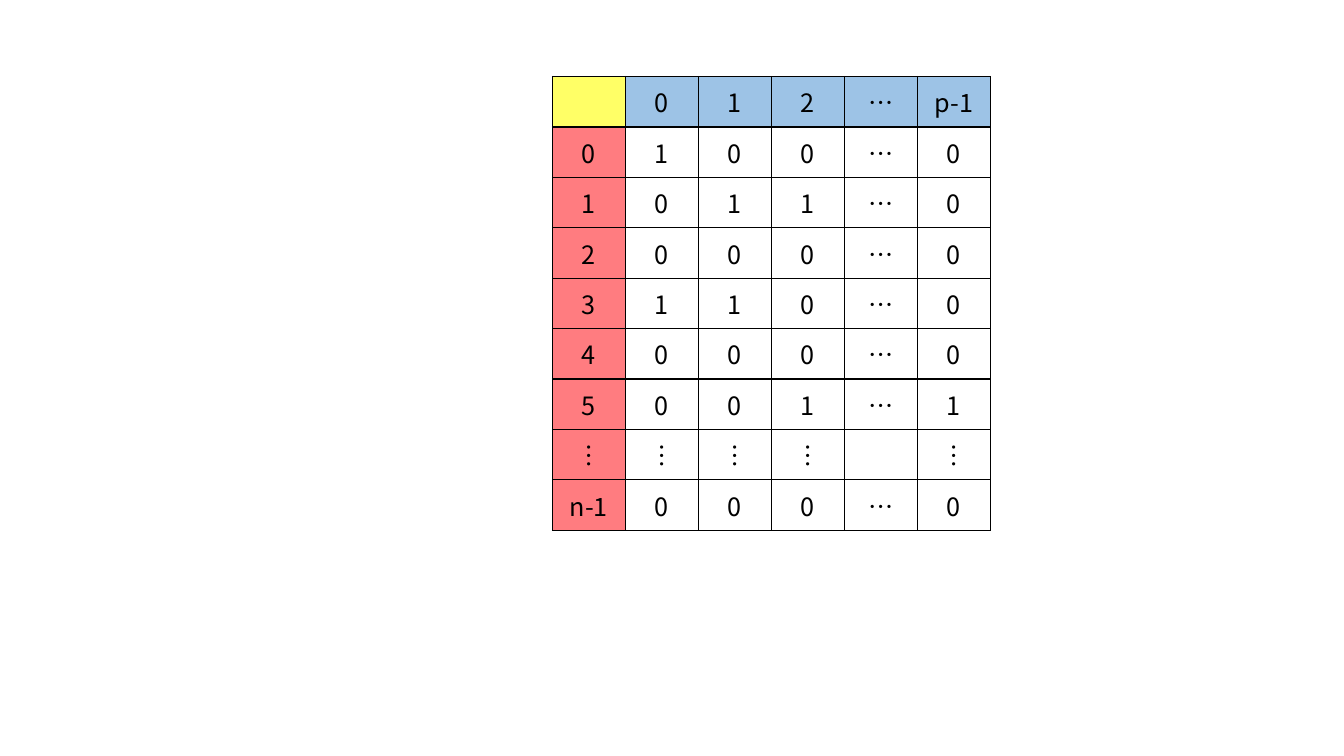
from lxml.etree import SubElement
from pptx import Presentation
from pptx.dml.color import RGBColor
from pptx.enum.text import MSO_ANCHOR, PP_ALIGN
from pptx.oxml.ns import qn
from pptx.util import Cm, Pt

FONT = "Noto Sans CJK KR"
BLACK, YELLOW, BLUE, RED = "000000", "FFFF66", "9DC3E6", "FF7C80"
COL_WIDTH, ROW_HEIGHT = Cm(1.84), Cm(1.27)
MATRIX = [
    ["", "0", "1", "2", "…", "p-1"],
    ["0", "1", "0", "0", "…", "0"],
    ["1", "0", "1", "1", "…", "0"],
    ["2", "0", "0", "0", "…", "0"],
    ["3", "1", "1", "0", "…", "0"],
    ["4", "0", "0", "0", "…", "0"],
    ["5", "0", "0", "1", "…", "1"],
    ["︙", "︙", "︙", "︙", "", "︙"],
    ["n-1", "0", "0", "0", "…", "0"],
]


def rgb(color):
    """Turn a hex string into a colour."""
    return RGBColor.from_string(color)


def cell_color(row, col):
    """Return the fill of a header cell, or None for a matrix entry."""
    if row == 0:
        return BLUE if col else YELLOW
    return None if col else RED


def add_borders(cell):
    """Draw a thin black line on all four sides of a cell."""
    tcPr = cell._tc.get_or_add_tcPr()
    for i, side in enumerate(("a:lnL", "a:lnR", "a:lnT", "a:lnB")):
        ln = tcPr.makeelement(qn(side), {"w": str(Pt(1))})
        tcPr.insert(i, ln)
        fill = SubElement(ln, qn("a:solidFill"))
        SubElement(fill, qn("a:srgbClr"), val=BLACK)


def write_text(cell, text):
    """Write one centred run into a cell."""
    cell.vertical_anchor = MSO_ANCHOR.MIDDLE
    p = cell.text_frame.paragraphs[0]
    p.alignment = PP_ALIGN.CENTER
    if not text:
        return
    r = p.add_run()
    r.text = text
    r.font.name = FONT
    r.font.size = Pt(18)
    r.font.color.rgb = rgb(BLACK)
    SubElement(r.font._element, qn("a:ea"), typeface=FONT)


def format_cell(cell, text, color):
    """Set the text, fill and borders of a cell."""
    write_text(cell, text)
    if color:
        cell.fill.solid()
        cell.fill.fore_color.rgb = rgb(color)
    else:
        cell.fill.background()
    add_borders(cell)


def add_matrix(s, left, top, rows):
    """Add a table with coloured row and column headers."""
    n_rows, n_cols = len(rows), len(rows[0])
    table = s.shapes.add_table(n_rows, n_cols, left, top,
                               COL_WIDTH * n_cols, ROW_HEIGHT * n_rows).table
    table.first_row = False
    table.horz_banding = False
    for column in table.columns:
        column.width = COL_WIDTH
    for i, values in enumerate(rows):
        table.rows[i].height = ROW_HEIGHT
        for j, text in enumerate(values):
            format_cell(table.cell(i, j), text, cell_color(i, j))


def main():
    """Build the slide and save it."""
    prs = Presentation()
    prs.slide_width, prs.slide_height = Cm(33.87), Cm(19.05)
    s = prs.slides.add_slide(prs.slide_layouts[6])
    add_matrix(s, Cm(13.92), Cm(1.93), MATRIX)
    prs.save("out.pptx")


main()
